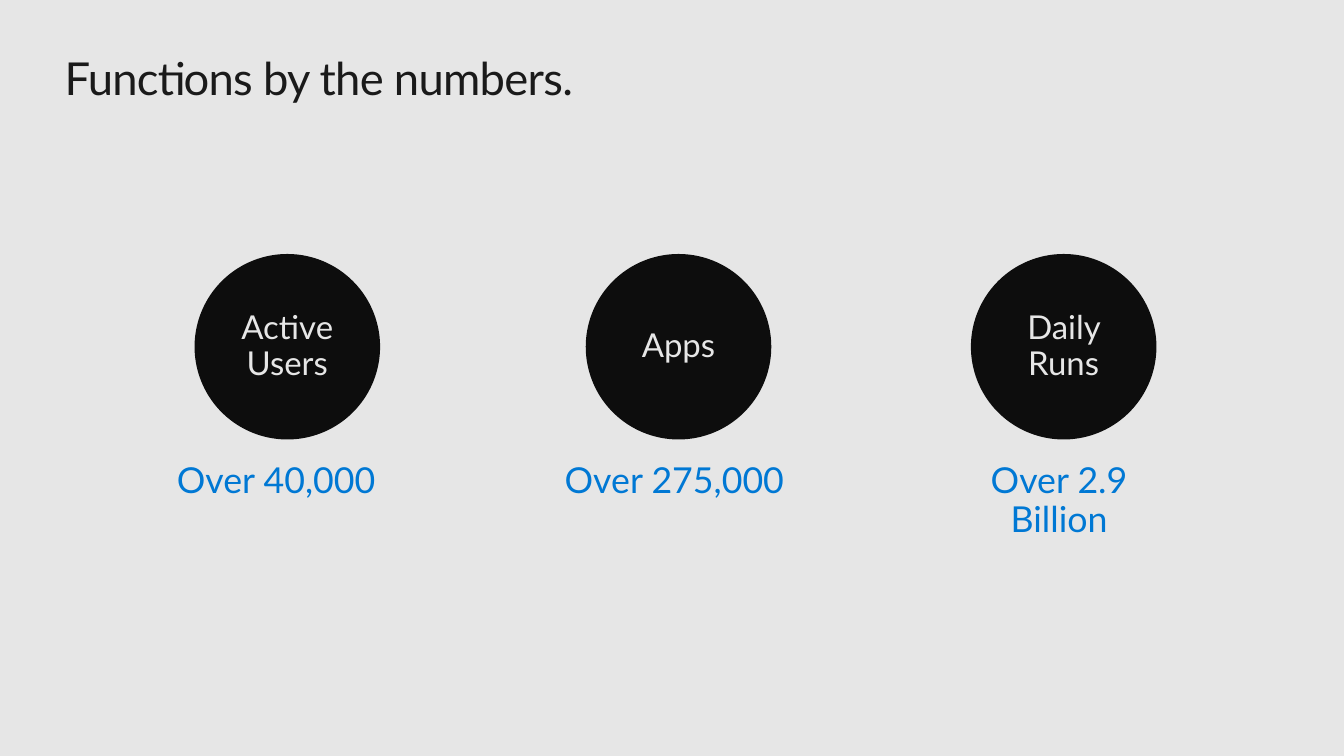
"""Build the slide of three key figures about functions."""
from pptx import Presentation
from pptx.dml.color import RGBColor
from pptx.enum import shapes, text
from pptx.util import Inches, Pt

PALE = RGBColor(0xE6, 0xE6, 0xE6)
BLACK = RGBColor(0x0D, 0x0D, 0x0D)
INK = RGBColor(0x1A, 0x1A, 0x1A)
BLUE = RGBColor(0x00, 0x78, 0xD4)


def style(par, size, color, align):
    par.alignment = align
    par.font.name = "Lato"
    par.font.size = Pt(size)
    par.font.color.rgb = color


def inset(frame, left, top, right, bottom):
    frame.margin_left, frame.margin_top = Inches(left), Inches(top)
    frame.margin_right, frame.margin_bottom = Inches(right), Inches(bottom)
    frame.word_wrap = True


deck = Presentation()
deck.slide_width, deck.slide_height = Inches(13.33), Inches(7.5)
slide = deck.slides.add_slide(deck.slide_layouts[5])
slide.background.fill.solid()
slide.background.fill.fore_color.rgb = PALE

title = slide.shapes.title
title.left, title.top = Inches(0.64), Inches(0.5)
title.width, title.height = Inches(12.05), Inches(0.61)
frame = title.text_frame
frame.text = "Functions by the numbers."
frame.auto_size = text.MSO_AUTO_SIZE.NONE
frame.vertical_anchor = text.MSO_ANCHOR.TOP
inset(frame, 0, 0, 0, 0)
head = frame.paragraphs[0]
style(head, 32.4, INK, text.PP_ALIGN.LEFT)
head.runs[0]._r.get_or_add_rPr().set("spc", "-50")

stats = [
    ("Active\vUsers", 1.93, "Over 40,000", 1.38, 2.82),
    ("Apps", 5.81, "Over 275,000", 5.28, 2.92),
    ("Daily Runs", 9.63, "Over 2.9 Billion", 9.21, 2.69),
]
for label, x, count, left, width in stats:
    disc = slide.shapes.add_shape(
        shapes.MSO_SHAPE.OVAL, Inches(x), Inches(2.52), Inches(1.84), Inches(1.84))
    disc.shadow.inherit = False
    disc.fill.solid()
    disc.fill.fore_color.rgb = BLACK
    disc.line.fill.background()
    frame = disc.text_frame
    frame.text = label
    frame.vertical_anchor = text.MSO_ANCHOR.MIDDLE
    inset(frame, 0.15, 0.16, 0.15, 0.16)
    par = frame.paragraphs[0]
    par.line_spacing = 0.9
    style(par, 23.5, PALE, text.PP_ALIGN.CENTER)

    box = slide.shapes.add_textbox(
        Inches(left), Inches(4.43), Inches(width), Inches(0.71))
    frame = box.text_frame
    frame.text = count
    frame.auto_size = text.MSO_AUTO_SIZE.SHAPE_TO_FIT_TEXT
    inset(frame, 0.1, 0.16, 0.2, 0.16)
    par = frame.paragraphs[0]
    par.line_spacing = 0.9
    par.space_after = Pt(12)
    style(par, 25.5, BLUE, text.PP_ALIGN.CENTER)

deck.save("out.pptx")
